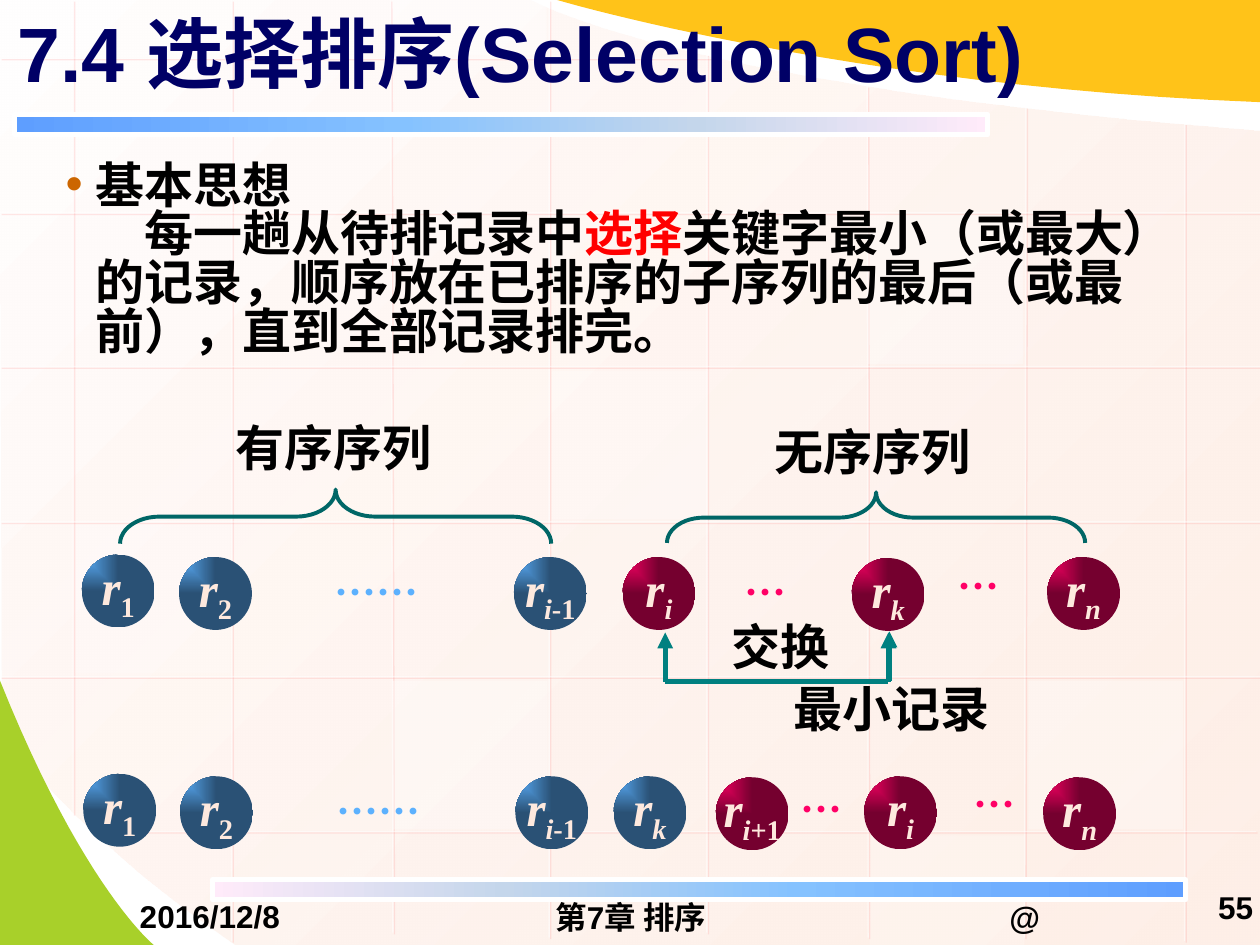
from pptx import Presentation
from pptx.dml.color import RGBColor
from pptx.enum.shapes import MSO_CONNECTOR, MSO_SHAPE
from pptx.enum.text import MSO_ANCHOR, MSO_AUTO_SIZE, PP_ALIGN
from pptx.oxml import parse_xml
from pptx.oxml.ns import nsdecls, qn
from pptx.util import Cm, Pt

LINE = MSO_CONNECTOR.STRAIGHT
RECT, OVAL, BRACE = MSO_SHAPE.RECTANGLE, MSO_SHAPE.OVAL, MSO_SHAPE.LEFT_BRACE
MID, FIXED = MSO_ANCHOR.MIDDLE, MSO_AUTO_SIZE.NONE
LEFT, MIDDLE, RIGHT = PP_ALIGN.LEFT, PP_ALIGN.CENTER, PP_ALIGN.RIGHT

HUES = {
    "white": "FFFFFF", "black": "000000", "navy": "000066", "red": "FF0000",
    "green": "A8D02A", "gold": "FFC319", "cream": "FEE9DE", "rust": "CC6600",
    "sky": "5CB1FE", "pink": "FF0066", "teal": "006666", "arrow": "008080",
    "deep": "2A5175", "wine": "75002F", "grid": "FF7575",
}
RGB = {name: RGBColor.from_string(hue) for name, hue in HUES.items()}
CJK = "Noto Sans CJK SC"
NS = nsdecls("a")


def write(frame, runs, hue, align=LEFT, pitch=0.83, **fmt):
    """Fill the first paragraph with (text, format) runs; \\n breaks a line."""
    para = frame.paragraphs[0]
    para.alignment, para.line_spacing, para.space_before = align, pitch, Pt(0)
    for text, extra in runs:
        look = {"name": "Arial", "size": Pt(28), "bold": True, **fmt, **extra}
        tint, base = look.pop("hue", hue), look.pop("base", None)
        for row, part in enumerate(text.split("\n")):
            if row:
                para.add_line_break()
            run = para.add_run()
            run.text = part
            for key, value in look.items():
                setattr(run.font, key, value)
            run.font.color.rgb = RGB[tint]
            props = run._r.get_or_add_rPr()
            if base:
                props.set("baseline", base)
            props.find(qn("a:latin")).addnext(
                parse_xml(f'<a:ea {NS} typeface="{CJK}"/>'))


def blend(shape, stops, way):
    """Give a gradient fill of (position, hex, alpha) stops, all in percent."""
    shape.fill.gradient()
    old = shape.element.spPr.find(qn("a:gradFill"))
    marks = "".join(
        f'<a:gs pos="{pos}000"><a:srgbClr val="{hue}"><a:alpha val="{alpha}000"/>'
        "</a:srgbClr></a:gs>" for pos, hue, alpha in stops)
    old.getparent().replace(old, parse_xml(
        f'<a:gradFill {NS} rotWithShape="1"><a:gsLst>{marks}</a:gsLst>{way}</a:gradFill>'))


deck = Presentation()
deck.slide_width, deck.slide_height = Cm(25.4), Cm(19.05)
slide = deck.slides.add_slide(deck.slide_layouts[1])
shapes = slide.shapes
title, body = shapes.title, slide.placeholders[1]

# Background: two numbers make a line, six make a curve
panel = [(25.4, 2.64), (25.4, 19.05), (4.75, 19.05),
         (1.4, 16.76, 0.03, 14.73, 0.05, 14.73), (0, 0), (10.69, 0),
         (10.69, 0, 13.64, 1.75, 25.4, 2.64)]
leaf = [(0, 13.72), (0, 19.05), (3.1, 19.05), (3.1, 19.05, 1.68, 17.91, 0, 13.72)]
sun = [(25.4, 2.06), (25.4, 0), (11.23, 0), (11.23, 0, 17.12, 1.75, 25.4, 2.06)]

# Grid lines
grid = [(1.47, 0, 1.47, 16.41), (4.67, 0, 4.67, 18.97), (7.87, 0, 7.92, 18.8),
        (11.07, 0, 11.07, 18.9), (14.25, 1.09, 14.25, 18.8),
        (17.48, 1.73, 17.5, 18.9), (20.68, 2.16, 20.65, 18.9),
        (23.88, 2.49, 23.88, 18.97), (14.43, 1.17, 0, 1.17),
        (25.4, 4.29, 0, 4.29), (25.4, 7.39, 0, 7.39), (25.4, 10.52, 0, 10.52),
        (25.4, 13.64, 0, 13.64), (25.32, 16.76, 1.93, 16.76)]
tiles = [(11.13, 7.47, 3, 25), (20.73, 13.72, 3, 30), (1.52, 10.57, 3, 20),
         (17.53, 16.84, 2.21, 20), (7.9, 0, 1.12, 40), (7.92, 13.72, 3, 30),
         (17.5, 4.34, 3, 30)]

for outline, hue in ((panel, None), (leaf, "green"), (sun, "gold")):
    x, y = outline[0]
    dots = []
    for step in outline[1:]:
        if len(step) == 6:
            a, b, c, d, e, f = step
            for i in range(1, 25):
                t = i / 24
                u = 1 - t
                dots.append((
                    u**3 * x + 3 * u * u * t * a + 3 * u * t * t * c + t**3 * e,
                    u**3 * y + 3 * u * u * t * b + 3 * u * t * t * d + t**3 * f))
        else:
            dots.append(step)
        x, y = step[-2:]
    pen = shapes.build_freeform(*[Cm(n) for n in outline[0]])
    pen.add_line_segments([(Cm(p), Cm(q)) for p, q in dots])
    shape = pen.convert_to_shape()
    shape.shadow.inherit = False
    shape.line.fill.background()
    if hue:
        shape.fill.solid()
        shape.fill.fore_color.rgb = RGB[hue]
        continue
    blend(shape, [(0, "FFFEFE", 100), (100, HUES["cream"], 70)],
          '<a:lin ang="2700000" scaled="0"/>')
    for ends in grid:
        rule = shapes.add_connector(LINE, *[Cm(n) for n in ends])
        rule.line.width = Pt(0.75)
        rule.line.color.rgb = RGB["white"]
        rule.element.spPr.find(".//" + qn("a:srgbClr")).append(
            parse_xml(f'<a:alpha {NS} val="50000"/>'))
        rule.element.spPr.append(parse_xml(
            f'<a:effectLst {NS}><a:outerShdw dist="17780" dir="2700000">'
            f'<a:srgbClr val="{HUES["grid"]}"><a:alpha val="33000"/></a:srgbClr>'
            "</a:outerShdw></a:effectLst>"))
    for x, y, high, alpha in tiles:
        tile = shapes.add_shape(RECT, Cm(x), Cm(y), Cm(3.12), Cm(high))
        tile.shadow.inherit = False
        tile.line.fill.background()
        tile.fill.solid()
        tile.fill.fore_color.rgb = RGB["white"]
        tile.element.spPr.find(".//" + qn("a:srgbClr")).append(
            parse_xml(f'<a:alpha {NS} val="{alpha}000"/>'))

# Bars under the title and above the footer
for x, y, turn in ((0.3, 2.31, 0), (4.29, 17.73, 180)):
    bar = shapes.add_shape(RECT, Cm(x), Cm(y), Cm(19.61), Cm(0.41))
    bar.shadow.inherit = False
    bar.rotation = turn
    bar.line.color.rgb, bar.line.width = RGB["white"], Pt(3)
    blend(bar, [(0, "5E9EFF", 100), (40, "85C2FF", 100), (70, "C4D6EB", 100),
                (100, "FFEBFA", 100)], '<a:lin ang="0" scaled="0"/>')

# Title and main text
for holder, place in ((title, (0.1, -0.08, 22.86, 2.57)),
                      (body, (1.07, 3.18, 23.24, 5))):
    shapes._spTree.append(holder.element)
    for side, n in zip(("left", "top", "width", "height"), place):
        setattr(holder, side, Cm(n))
    holder.text_frame.auto_size = FIXED
title.text_frame.vertical_anchor = MID
write(title.text_frame, [("7.4 选择排序(Selection Sort)", {})], "navy", size=Pt(44))

props = body.text_frame.paragraphs[0]._p.get_or_add_pPr()
props.set("marL", str(Cm(0.6)))
props.set("indent", str(Cm(-0.6)))
props.append(parse_xml(
    f'<a:buClr {NS}><a:srgbClr val="{HUES["rust"]}"/></a:buClr>'))
props.append(parse_xml(f'<a:buChar {NS} char="•"/>'))
write(body.text_frame, [
    ("基本思想\n\u3000每一趟从待排记录中".replace("\u3000", "　"), {}),
    ("选择", {"hue": "red"}),
    ("关键字最小（或最大）的记录，顺序放在已排序的子序列的最后（或最前），直到全部记录排完。", {}),
], "black", name="Times New Roman")

# Braces
for x, y, wide, high in ((6.22, 6.07, 1.09, 8.69), (17.15, 6.22, 1.02, 8.43)):
    brace = shapes.add_shape(BRACE, Cm(x), Cm(y), Cm(wide), Cm(high))
    brace.shadow.inherit = False
    brace.rotation = 90
    brace.adjustments[0], brace.adjustments[1] = 0.73, 0.5
    brace.fill.background()
    brace.line.color.rgb, brace.line.width = RGB["teal"], Pt(2.25)

# Records: left, top, italic index, upright index, start and end hue
blue, rose = ("sky", "deep"), ("pink", "wine")
balls = [
    (1.65, 11.18, "", "1", blue), (3.61, 11.23, "", "2", blue),
    (10.36, 11.23, "i", "-1", blue), (12.55, 11.23, "i", "", rose),
    (17.17, 11.25, "k", "", rose), (21.11, 11.23, "n", "", rose),
    (1.68, 15.6, "", "1", blue), (3.63, 15.65, "", "2", blue),
    (10.39, 15.65, "i", "-1", blue), (12.37, 15.65, "k", "", blue),
    (14.43, 15.67, "i+", "1", rose), (17.42, 15.65, "i", "", rose),
    (21.03, 15.67, "n", "", rose),
]
for x, y, slant, plain, (start, end) in balls:
    ball = shapes.add_shape(OVAL, Cm(x), Cm(y), Cm(1.47), Cm(1.47))
    ball.shadow.inherit = False
    ball.line.fill.background()
    blend(ball, [(0, HUES[start], 100), (100, HUES[end], 100)],
          '<a:path path="rect"><a:fillToRect r="100000" b="100000"/></a:path>')
    frame = ball.text_frame
    for key, value in {"margin_left": 0, "margin_right": 0, "margin_top": 0,
                       "margin_bottom": 0, "word_wrap": False,
                       "vertical_anchor": MID}.items():
        setattr(frame, key, value)
    runs = [("r", {"italic": True}), (slant, {"italic": True, "base": "-25000"}),
            (plain, {"italic": False, "base": "-25000"})]
    write(frame, [run for run in runs if run[0]], "cream", MIDDLE, 0.7,
          name="Times New Roman")

# Swap arrows
for *ends, tip in ((13.41, 13.74, 17.91, 13.74, False),
                   (17.91, 13.74, 17.91, 12.75, True),
                   (13.41, 13.74, 13.41, 12.75, True),
                   (17.93, 13.72, 17.93, 12.73, True)):
    arrow = shapes.add_connector(LINE, *[Cm(n) for n in ends])
    arrow.line.color.rgb, arrow.line.width = RGB["arrow"], Pt(3)
    if tip:
        arrow.line._get_or_add_ln().append(
            parse_xml(f'<a:tailEnd {NS} type="triangle"/>'))
    arrow.element.spPr.append(parse_xml(f"<a:effectLst {NS}/>"))

# Labels, gaps and footer
label = {"hue": "black"}
gap = {"name": CJK, "size": Pt(24)}
foot = {"hue": "black", "size": Pt(18), "align": MIDDLE}
notes = [
    ("有序序列", 4.5, 8.38, 5.51, 1.45, label),
    ("无序序列", 15.37, 8.46, 5.51, 1.45, label),
    ("交换", 14.5, 12.4, 2.49, 1.45, label),
    ("最小记录", 15.75, 13.64, 4.5, 1.45, label),
    ("……", 6.5, 11.38, 2.57, 1.27, {**gap, "hue": "sky"}),
    ("…", 14.76, 11.38, 1.63, 1.27, {**gap, "hue": "pink"}),
    ("…", 19.05, 11.25, 1.63, 1.27, {**gap, "hue": "pink"}),
    ("……", 6.53, 15.8, 2.57, 1.27, {**gap, "hue": "sky"}),
    ("…", 15.88, 15.75, 1.63, 1.27, {**gap, "hue": "pink"}),
    ("…", 19.38, 15.65, 1.63, 1.27, {**gap, "hue": "pink"}),
    ("2016/12/8", 1.27, 18.14, 5.92, 0.76, foot),
    ("第7章 排序", 8.69, 18.16, 8.05, 0.76, foot),
    ("@", 17.7, 18.16, 5.92, 0.76, foot),
    ("55", 23.83, 17.73, 1.68, 1.24, {**foot, "align": RIGHT}),
]
for text, x, y, wide, high, fmt in notes:
    frame = shapes.add_textbox(Cm(x), Cm(y), Cm(wide), Cm(high)).text_frame
    frame.word_wrap, frame.vertical_anchor = True, MID
    write(frame, [(text, {})], **fmt)

deck.save("out.pptx")
